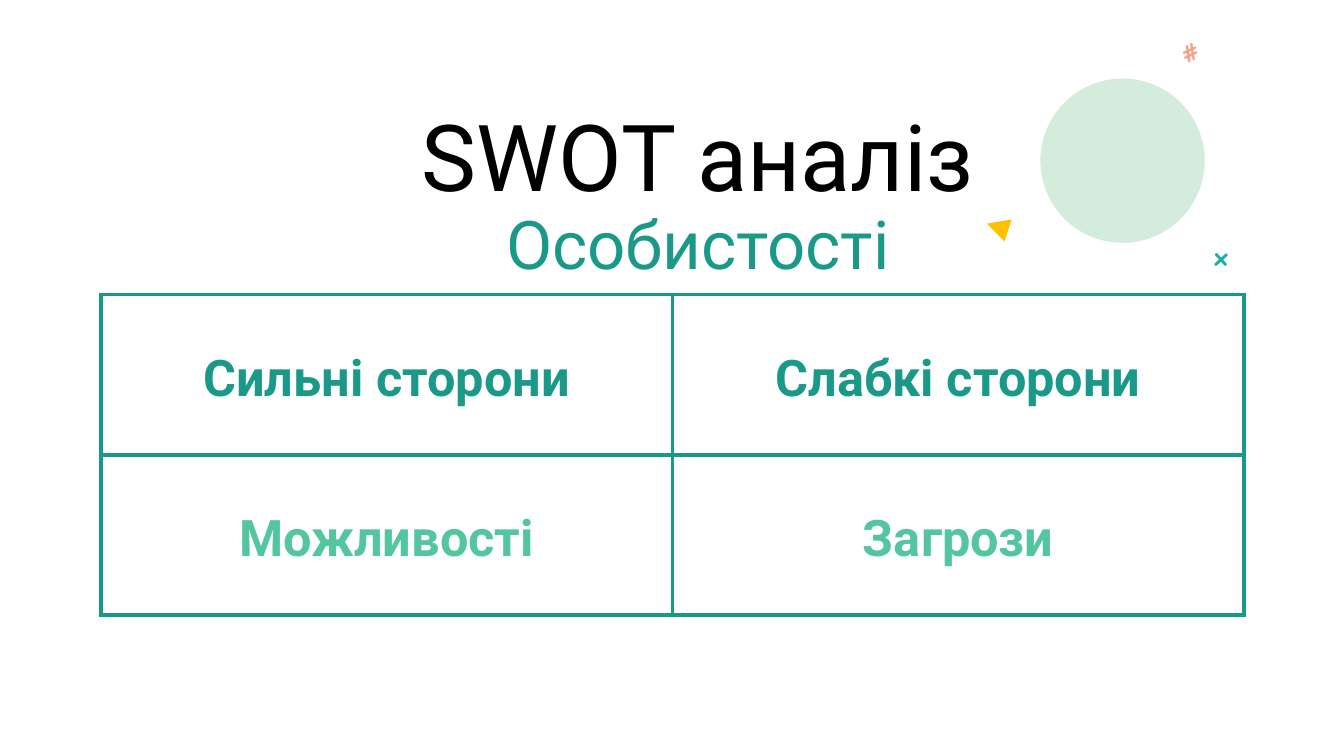
from dataclasses import dataclass
from lxml import etree
from pptx import Presentation
from pptx import util as u
from pptx.dml.color import RGBColor
from pptx.enum import shapes, text
from pptx.oxml.ns import qn


@dataclass
class Theme:
    face: str = "Roboto"
    hand: str = "Comic Neue"
    black: str = "000000"
    teal: str = "1A9988"
    mint: str = "53C6A1"
    pale: str = "D4ECDC"
    gold: str = "FFC000"
    aqua: str = "19AFA3"
    coral: str = "F8A185"
    head: int = 66
    sub: int = 48
    cell: int = 36
    plus: int = 36
    hash: int = 18
    rule: int = 3


class Deck:
    def __init__(self, theme):
        self.theme = theme
        self.show = Presentation()
        self.show.slide_width = u.Inches(13.33)
        self.show.slide_height = u.Inches(7.5)
        self.slide = self.show.slides.add_slide(self.show.slide_layouts[5])

    def font(self, font, size, color, face=None, bold=False):
        font.name = face or self.theme.face
        font.size = u.Pt(size)
        font.bold = bold
        font.color.rgb = RGBColor.from_string(color)

    def title(self, box, lines):
        head = self.slide.shapes.title
        head.left, head.top, head.width, head.height = map(u.Cm, box)
        frame = head.text_frame
        frame.word_wrap = True
        frame.auto_size = text.MSO_AUTO_SIZE.NONE
        frame.vertical_anchor = text.MSO_ANCHOR.TOP
        para = frame.paragraphs[0]
        para.alignment = text.PP_ALIGN.CENTER
        para.line_spacing = 0.9
        for i, (words, size, color) in enumerate(lines):
            if i:
                para.add_line_break()
            run = para.add_run()
            run.text = words
            self.font(run.font, size, color)

    def shape(self, kind, box, color, turn=0):
        item = self.slide.shapes.add_shape(kind, *map(u.Cm, box))
        item.shadow.inherit = False
        item.fill.solid()
        item.fill.fore_color.rgb = RGBColor.from_string(color)
        item.line.fill.background()
        item.rotation = turn

    def mark(self, sign, box, size, color, turn, bold=False):
        item = self.slide.shapes.add_textbox(*map(u.Cm, box))
        item.rotation = turn
        frame = item.text_frame
        frame.word_wrap = True
        frame.margin_left = frame.margin_right = u.Cm(0.25)
        frame.margin_top = frame.margin_bottom = u.Cm(0.25)
        para = frame.paragraphs[0]
        para.text = sign
        self.font(para.font, size, color, self.theme.hand, bold)

    def border(self, cell):
        props = cell._tc.get_or_add_tcPr()
        for i, side in enumerate(("lnL", "lnR", "lnT", "lnB")):
            line = etree.Element(qn("a:" + side), w=str(u.Pt(self.theme.rule)))
            fill = etree.SubElement(line, qn("a:solidFill"))
            etree.SubElement(fill, qn("a:srgbClr"), val=self.theme.teal)
            props.insert(i, line)

    def table(self, left, top, wide, high, rows):
        count = len(rows[0][1])
        grid = self.slide.shapes.add_table(
            len(rows), count, u.Cm(left), u.Cm(top),
            u.Cm(wide * count), u.Cm(high * len(rows))).table
        grid.first_row = grid.horz_banding = False
        for r, (color, words) in enumerate(rows):
            for c, word in enumerate(words):
                cell = grid.cell(r, c)
                cell.fill.background()
                cell.vertical_anchor = text.MSO_ANCHOR.MIDDLE
                cell.margin_left = cell.margin_right = u.Cm(0.25)
                cell.margin_top = cell.margin_bottom = u.Cm(0.25)
                para = cell.text_frame.paragraphs[0]
                para.text = word
                para.alignment = text.PP_ALIGN.CENTER
                para.line_spacing = 1.15
                para.space_before = u.Pt(10)
                self.font(para.font, self.theme.cell, color, bold=True)
                self.border(cell)


def main():
    theme = Theme()
    deck = Deck(theme)
    kind = shapes.MSO_SHAPE
    deck.title((9.7, 2.69, 15.77, 2.34), [
        ("SWOT аналіз", theme.head, theme.black),
        ("Особистості", theme.sub, theme.teal)])
    deck.shape(kind.OVAL, (26.21, 1.98, 4.14, 4.14), theme.pale)
    deck.shape(kind.ISOSCELES_TRIANGLE, (24.84, 5.44, 0.58, 0.56),
               theme.gold, 287.8)
    deck.mark("+", (30.23, 6.02, 1.32, 1.75), theme.plus, theme.aqua, 137.7)
    deck.mark("#", (29.59, 0.61, 1.07, 1.75), theme.hash, theme.coral,
              335.1, True)
    deck.table(2.54, 7.42, 14.4, 4.04, [
        (theme.teal, ("Сильні сторони", "Слабкі сторони")),
        (theme.mint, ("Можливості", "Загрози"))])
    deck.show.save("out.pptx")


if __name__ == "__main__":
    main()
